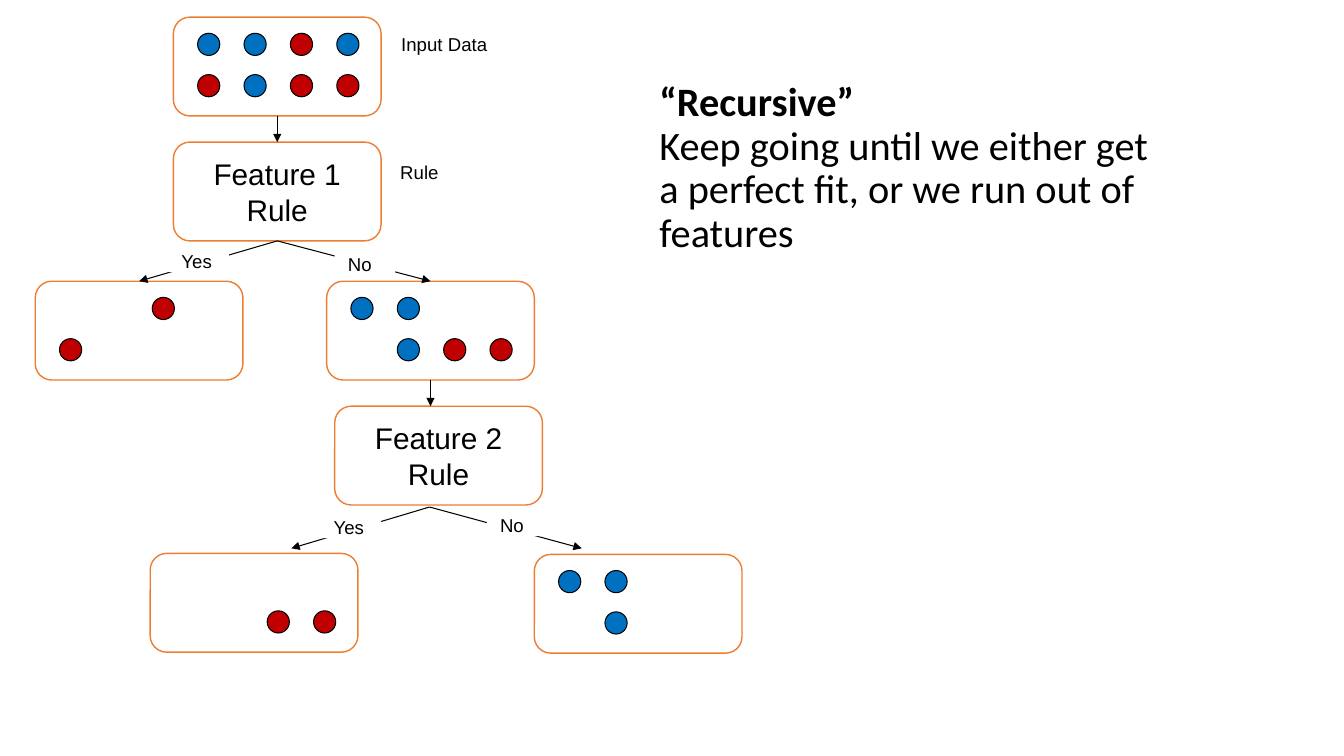
import pptx
import pptx.util
import pptx.dml.color
import pptx.enum.shapes
import pptx.enum.text
import pptx.oxml

COLORS = {"text": "000000", "paper": "FFFFFF", "border": "ED7D31",
          "B": "0070C0", "R": "C00000"}
HEADING = "“Recursive”"
EXPLANATION = "Keep going until we either get a perfect fit, or we run out of features"
HEADING_BOX = (644, 105, 533, 125)

NODES = {
    "input": (172, 17, "", ("BBRB", "RBRR")),
    "feature 1": (172, 141, "Feature 1 Rule", ()),
    "yes 1": (35, 279, "", ("  R ", "R   ")),
    "no 1": (324, 279, "", ("BB  ", " BRR")),
    "feature 2": (332, 403, "Feature 2 Rule", ()),
    "yes 2": (149, 549, "", ("    ", "  RR")),
    "no 2": (530, 550, "", ("BB  ", " B  ")),
}
ARROWS = [
    ("input", "feature 1", (275, 115), (275, 141)),
    ("feature 1", "yes 1", (275, 239), (138, 279)),
    ("feature 1", "no 1", (275, 239), (427, 279)),
    ("no 1", None, (427, 377), (427, 403)),
    (None, None, (426, 503), (289, 544)),
    (None, None, (426, 503), (577, 544)),
]
LABELS = [
    ("Input Data", 385, 26, 167), ("Rule", 384, 153, 167),
    ("Yes", 167, 241, 60), ("No", 332, 244, 60),
    ("Yes", 318, 505, 60), ("No", 483, 503, 60),
]
NODE_W, NODE_H, LABEL_H, DOT = 206, 98, 29, 22
DOT_LEFT, DOT_TOP, COLUMN_STEP, ROW_STEP = 24, 16, 46, 41
BOTTOM, TOP = 2, 0
SHAPE = pptx.enum.shapes.MSO_SHAPE
ALIGN = pptx.enum.text.PP_ALIGN
ANCHOR = pptx.enum.text.MSO_ANCHOR


def px(*lengths):
    return [pptx.util.Emu(length * 9144) for length in lengths]


def rgb(name):
    return pptx.dml.color.RGBColor.from_string(COLORS[name])


def add_run(paragraph, text, size, font, bold=False):
    run = paragraph.add_run()
    run.text = text
    run.font.size = pptx.util.Pt(size)
    run.font.name = font
    run.font.bold = bold
    run.font.color.rgb = rgb("text")


def add_part(kind, box, fill, line=None, weight=0.75):
    part = slide.shapes.add_shape(kind, *px(*box))
    part.shadow.inherit = False
    part.fill.solid()
    part.fill.fore_color.rgb = rgb(fill)
    if line:
        part.line.color.rgb = rgb(line)
        part.line.width = pptx.util.Pt(weight)
    else:
        part.line.fill.background()
    return part


def write(part, text, size, align, anchor):
    frame = part.text_frame
    frame.word_wrap = True
    frame.vertical_anchor = anchor
    frame.margin_left, frame.margin_right = px(13, 13)
    frame.margin_top, frame.margin_bottom = px(7, 7)
    frame.paragraphs[0].alignment = align
    add_run(frame.paragraphs[0], text, size, "Arial")


def add_arrow(start, end):
    arrow = slide.shapes.add_connector(
        pptx.enum.shapes.MSO_CONNECTOR.STRAIGHT, *px(*start, *end))
    arrow.line.color.rgb = rgb("text")
    arrow.line.width = pptx.util.Pt(0.75)
    head = pptx.oxml.parse_xml(
        '<a:tailEnd xmlns:a="http://schemas.openxmlformats.org/drawingml/2006/main"'
        ' type="triangle"/>')
    arrow.line._get_or_add_ln().append(head)
    effects = pptx.oxml.parse_xml(
        '<a:effectLst xmlns:a="http://schemas.openxmlformats.org/drawingml/2006/main"/>')
    arrow._element.spPr.append(effects)
    return arrow


deck = pptx.Presentation()
deck.slide_width, deck.slide_height = px(1333, 750)
slide = deck.slides.add_slide(deck.slide_layouts[5])

heading = slide.shapes.title
heading.left, heading.top, heading.width, heading.height = px(*HEADING_BOX)
heading_frame = heading.text_frame
heading_frame.word_wrap = True
heading_frame.auto_size = pptx.enum.text.MSO_AUTO_SIZE.NONE
heading_frame.vertical_anchor = ANCHOR.MIDDLE
statement = heading_frame.paragraphs[0]
statement.alignment = ALIGN.LEFT
statement.line_spacing = 0.9
add_run(statement, HEADING, 28.8, "Calibri", True)
statement.add_line_break()
add_run(statement, EXPLANATION, 28.8, "Calibri")

nodes = {}
for name, (left, top, rule, dots) in NODES.items():
    nodes[name] = add_part(SHAPE.ROUNDED_RECTANGLE, (left, top, NODE_W, NODE_H),
                           "paper", "border", 1)
    if rule:
        write(nodes[name], rule, 21.3, ALIGN.CENTER, ANCHOR.MIDDLE)
    for row, line in enumerate(dots):
        for column, color in enumerate(line):
            if color != " ":
                add_part(SHAPE.OVAL, (left + DOT_LEFT + column * COLUMN_STEP,
                                      top + DOT_TOP + row * ROW_STEP, DOT, DOT),
                         color, "text")

for source, target, start, end in ARROWS:
    arrow = add_arrow(start, end)
    if source:
        arrow.begin_connect(nodes[source], BOTTOM)
    if target:
        arrow.end_connect(nodes[target], TOP)

for text, left, top, width in LABELS:
    label = add_part(SHAPE.RECTANGLE, (left, top, width, LABEL_H), "paper")
    write(label, text, 13.3, ALIGN.LEFT, ANCHOR.TOP)

deck.save("out.pptx")
